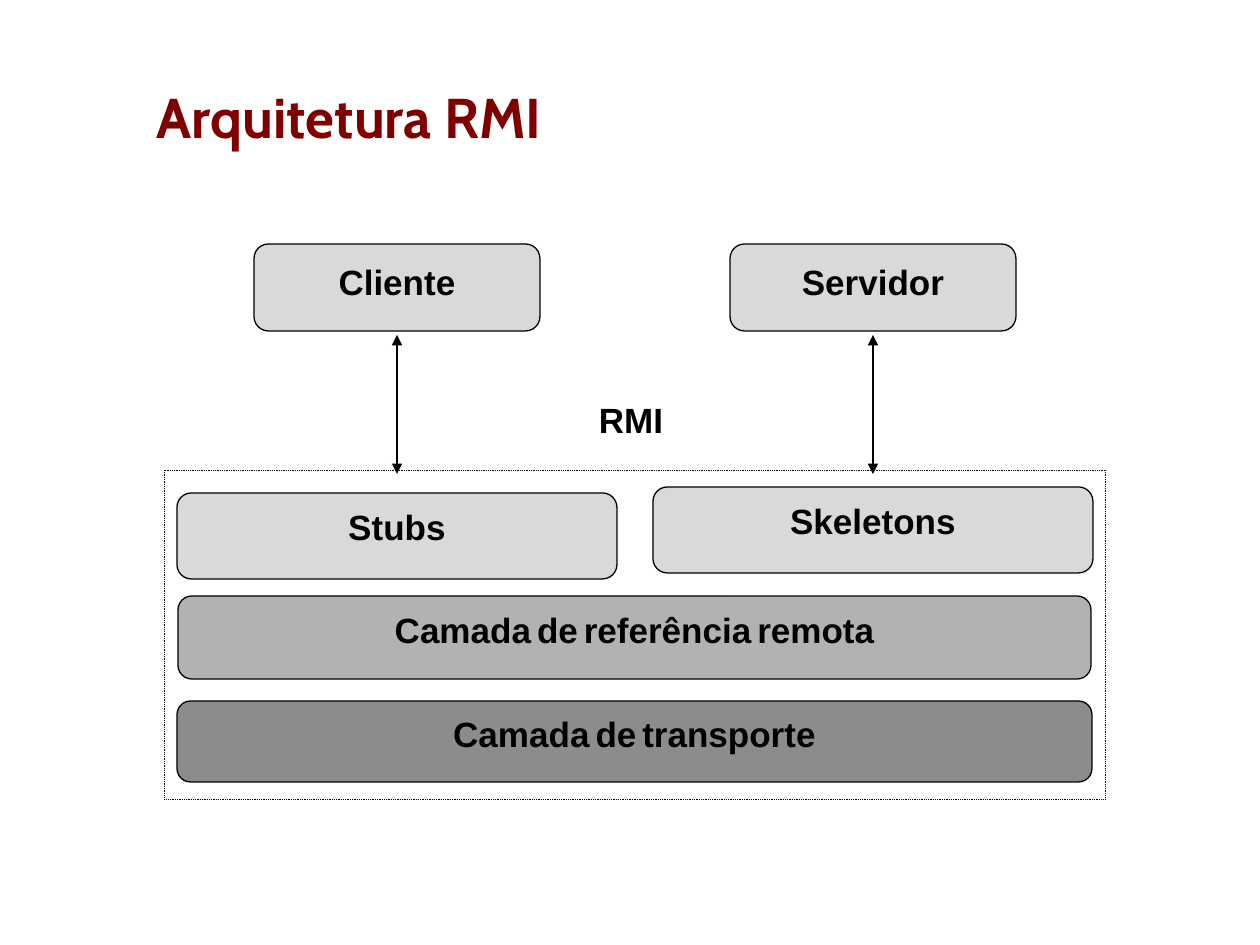
from lxml import etree
from pptx import Presentation
from pptx.dml.color import RGBColor
from pptx.enum.dml import MSO_LINE
from pptx.enum.shapes import MSO_CONNECTOR, MSO_SHAPE
from pptx.enum.text import MSO_ANCHOR, PP_ALIGN
from pptx.oxml.ns import qn
from pptx.util import Pt

PX = 914400 / 126
RECT, ROUNDED = MSO_SHAPE.RECTANGLE, MSO_SHAPE.ROUNDED_RECTANGLE
STRAIGHT, DOTTED = MSO_CONNECTOR.STRAIGHT, MSO_LINE.ROUND_DOT
TOP, MIDDLE = MSO_ANCHOR.TOP, MSO_ANCHOR.MIDDLE
LEFT, CENTER = PP_ALIGN.LEFT, PP_ALIGN.CENTER
COLORS = {
    name: RGBColor.from_string(value)
    for name, value in {
        "title": "800000",
        "ink": "000000",
        "light": "D9D9D9",
        "medium": "B2B2B2",
        "dark": "8C8C8C",
    }.items()
}


def emu(*lengths):
    return [round(n * PX) for n in lengths]


def write_label(sp, text, top_inset):
    tf = sp.text_frame
    tf.word_wrap = True
    tf.vertical_anchor = TOP
    tf.margin_left, tf.margin_top, tf.margin_right, tf.margin_bottom = emu(1, top_inset, 1, 1)
    p = tf.paragraphs[0]
    p.alignment = CENTER
    for i, word in enumerate(text.split()):
        for part, size in ([(" ", 12)] if i else []) + [(word, 20)]:
            r = p.add_run()
            r.text = part
            r.font.name = "Arial"
            r.font.size = Pt(size)
            r.font.bold = True
            r.font.color.rgb = COLORS["ink"]


prs = Presentation()
prs.slide_width, prs.slide_height = emu(1260, 945)
s = prs.slides.add_slide(prs.slide_layouts[5])

title = s.shapes.title
title.left, title.top, title.width, title.height = emu(144, 38, 1052, 157)
title.text_frame.text = "Arquitetura RMI"
title.text_frame.vertical_anchor = MIDDLE
p = title.text_frame.paragraphs[0]
p.alignment = LEFT
font = p.runs[0].font
font.name = "Cabin"
font.size = Pt(32)
font.bold = True
font.color.rgb = COLORS["title"]

boxes = [
    ("Camada de transporte", 177, 701, 915, 81, "dark", 8),
    ("Camada de referência remota", 178, 596, 913, 83, "medium", 8),
    ("Stubs", 177, 493, 440, 86, "light", 8),
    ("Skeletons", 653, 487, 440, 86, "light", 8),
    ("Cliente", 254, 244, 286, 87, "light", 12),
    ("Servidor", 730, 244, 286, 87, "light", 12),
]
for text, x, y, w, h, color, top_inset in boxes:
    sp = s.shapes.add_shape(ROUNDED, *emu(x, y, w, h))
    sp.shadow.inherit = False
    sp.fill.solid()
    sp.fill.fore_color.rgb = COLORS[color]
    sp.line.color.rgb = COLORS["ink"]
    sp.line.width = Pt(0.75)
    write_label(sp, text, top_inset)

for x in (397, 873):
    arrow = s.shapes.add_connector(STRAIGHT, *emu(x, 335, x, 474))
    arrow.line.color.rgb = COLORS["ink"]
    arrow.line.width = Pt(1)
    ln = arrow.line._get_or_add_ln()
    for end in ("a:headEnd", "a:tailEnd"):
        etree.SubElement(ln, qn(end), type="triangle")
    etree.SubElement(arrow._element.spPr, qn("a:effectLst"))

frame = s.shapes.add_shape(RECT, *emu(164, 470, 942, 330))
frame.shadow.inherit = False
frame.fill.background()
frame.line.color.rgb = COLORS["ink"]
frame.line.width = Pt(0.5)
frame.line.dash_style = DOTTED

write_label(s.shapes.add_textbox(*emu(561, 397, 140, 68)), "RMI", 1)

prs.save("out.pptx")
